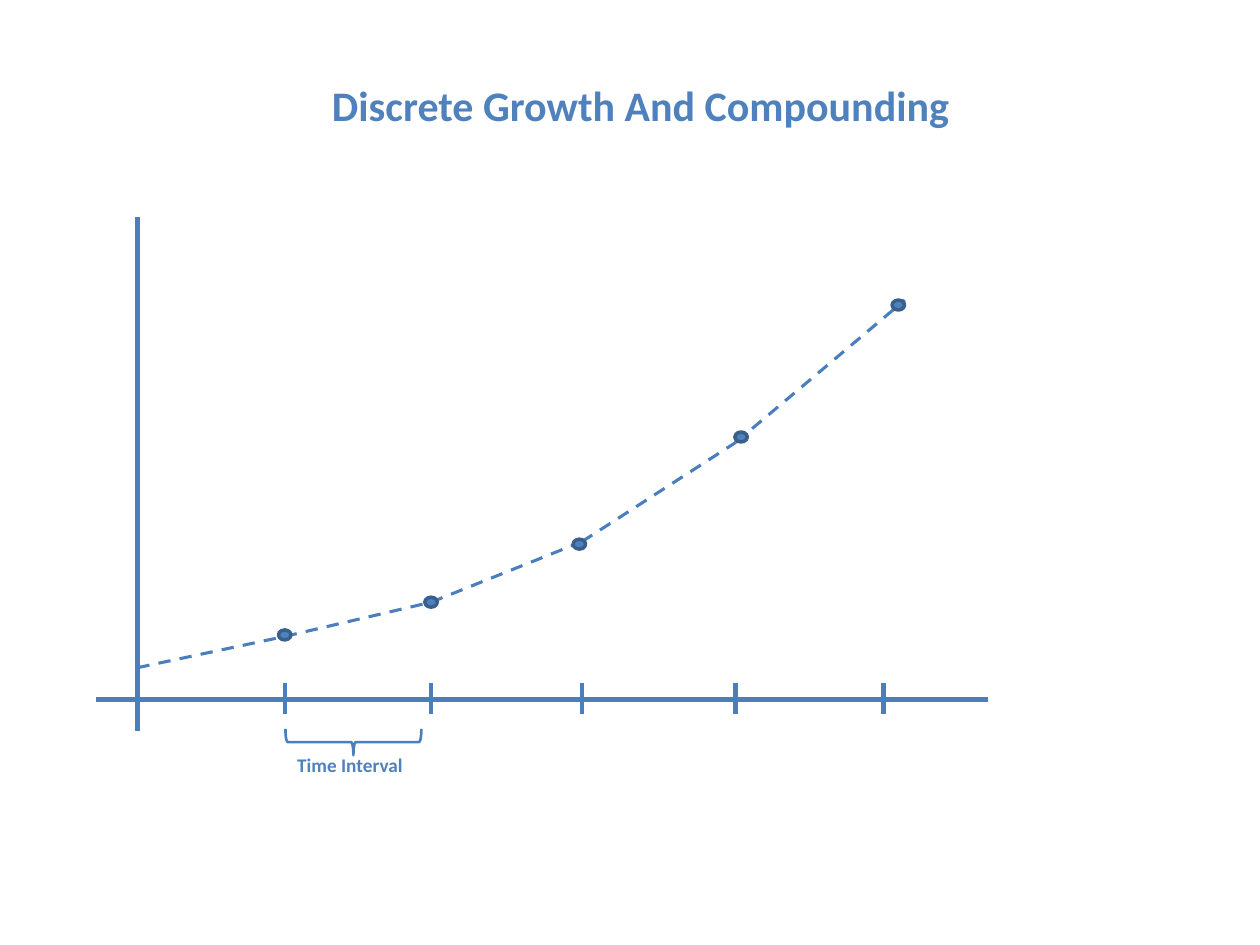
"""Build a slide that plots discrete growth over equal time intervals."""
from itertools import pairwise

from lxml.etree import SubElement
from pptx import Presentation
from pptx.dml.color import RGBColor as Rgb
from pptx.enum.dml import MSO_LINE as Dash
from pptx.enum.shapes import MSO_CONNECTOR as Link, MSO_SHAPE as Kind
from pptx.enum.text import MSO_AUTO_SIZE as Fit, PP_ALIGN as Align
from pptx.oxml.ns import qn
from pptx.util import Cm, Pt

HUES = {"text": "4F81BD", "line": "4B7EBC", "dot": "4F81BD", "rim": "3A5F8C"}
TEXTS = [
    ("Discrete Growth And Compounding", (0.43, 1.47, 24.97, 1.27), 24, Align.CENTER),
    ("Time Interval", (5.74, 15.06, 3.45, 0.74), 11, Align.LEFT),
]
AXES = [((2.77, 4.37), (2.77, 14.73)), ((1.93, 14.1), (19.91, 14.1))]
TICKS = [5.74, 8.69, 11.73, 14.83, 17.81]
TICK_Y = (14.4, 13.77)
CURVE = [(2.77, 13.46), (5.74, 12.83), (8.69, 12.14),
         (11.73, 10.92), (14.83, 8.92), (18.24, 6.05)]
DOTS = [(5.74, 12.8), (8.69, 12.14), (11.68, 10.97), (14.94, 8.81), (18.11, 6.15)]
DOT_W, DOT_H = 0.25, 0.2
BRACE = (6.86, 13.59, 0.53, 2.74)
SOLID = {"width": Pt(2.5)}
DASHED = {"width": Pt(1.75), "dash_style": Dash.DASH}


def style(item, form):
    for name, value in form.items():
        setattr(item, name, value)


def hue(name):
    return Rgb.from_string(HUES[name])


def add_line(slide, start, end, form):
    line = slide.shapes.add_connector(Link.STRAIGHT, *map(Cm, start + end))
    line.line.color.rgb = hue("line")
    style(line.line, form)
    SubElement(line._element.spPr, qn("a:effectLst"))


def add_form(slide, kind, box, rim, width, fill=None):
    form = slide.shapes.add_shape(kind, *map(Cm, box))
    form.shadow.inherit = False
    form.line.color.rgb = hue(rim)
    form.line.width = Pt(width)
    if fill:
        form.fill.solid()
        form.fill.fore_color.rgb = hue(fill)
    else:
        form.fill.background()
    return form


def add_text(slide, words, box, size, align):
    frame = slide.shapes.add_textbox(*map(Cm, box)).text_frame
    style(frame, {"word_wrap": True, "auto_size": Fit.SHAPE_TO_FIT_TEXT})
    para = frame.paragraphs[0]
    para.alignment = align
    run = para.add_run()
    run.text = words
    style(run.font, {"name": "Calibri", "size": Pt(size), "bold": True})
    run.font.color.rgb = hue("text")


def main():
    deck = Presentation()
    style(deck, {"slide_width": Cm(25.4), "slide_height": Cm(19.05)})
    slide = deck.slides.add_slide(deck.slide_layouts[6])
    for text in TEXTS:
        add_text(slide, *text)
    low, high = TICK_Y
    marks = [((x, low), (x, high)) for x in TICKS]
    for start, end in AXES + marks:
        add_line(slide, start, end, SOLID)
    for start, end in pairwise(CURVE):
        add_line(slide, start, end, DASHED)
    add_form(slide, Kind.LEFT_BRACE, BRACE, "line", 1.5).rotation = 270
    for x, y in DOTS:
        box = (x - DOT_W / 2, y - DOT_H / 2, DOT_W, DOT_H)
        add_form(slide, Kind.OVAL, box, "rim", 2, "dot")
    deck.save("out.pptx")


if __name__ == "__main__":
    main()
